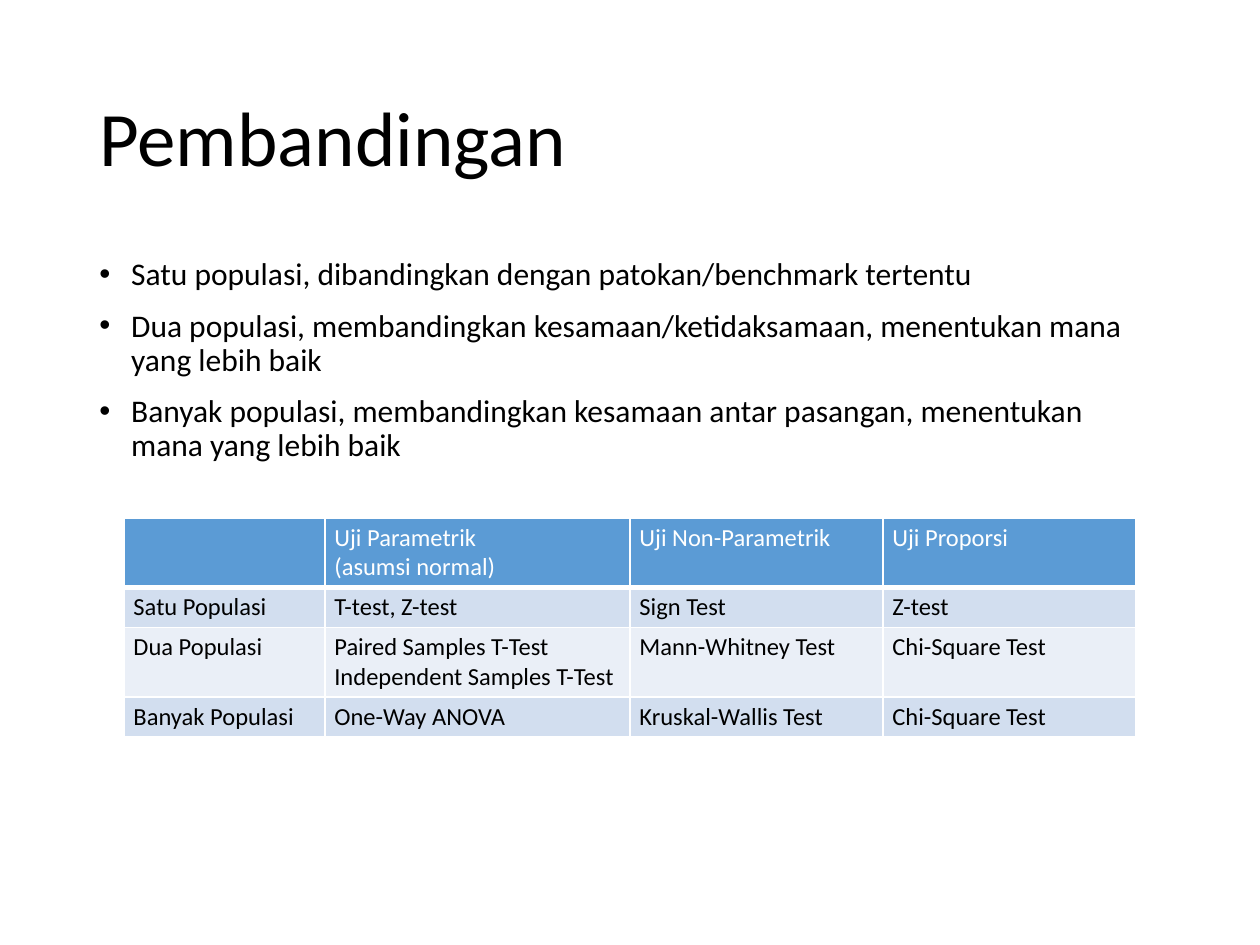
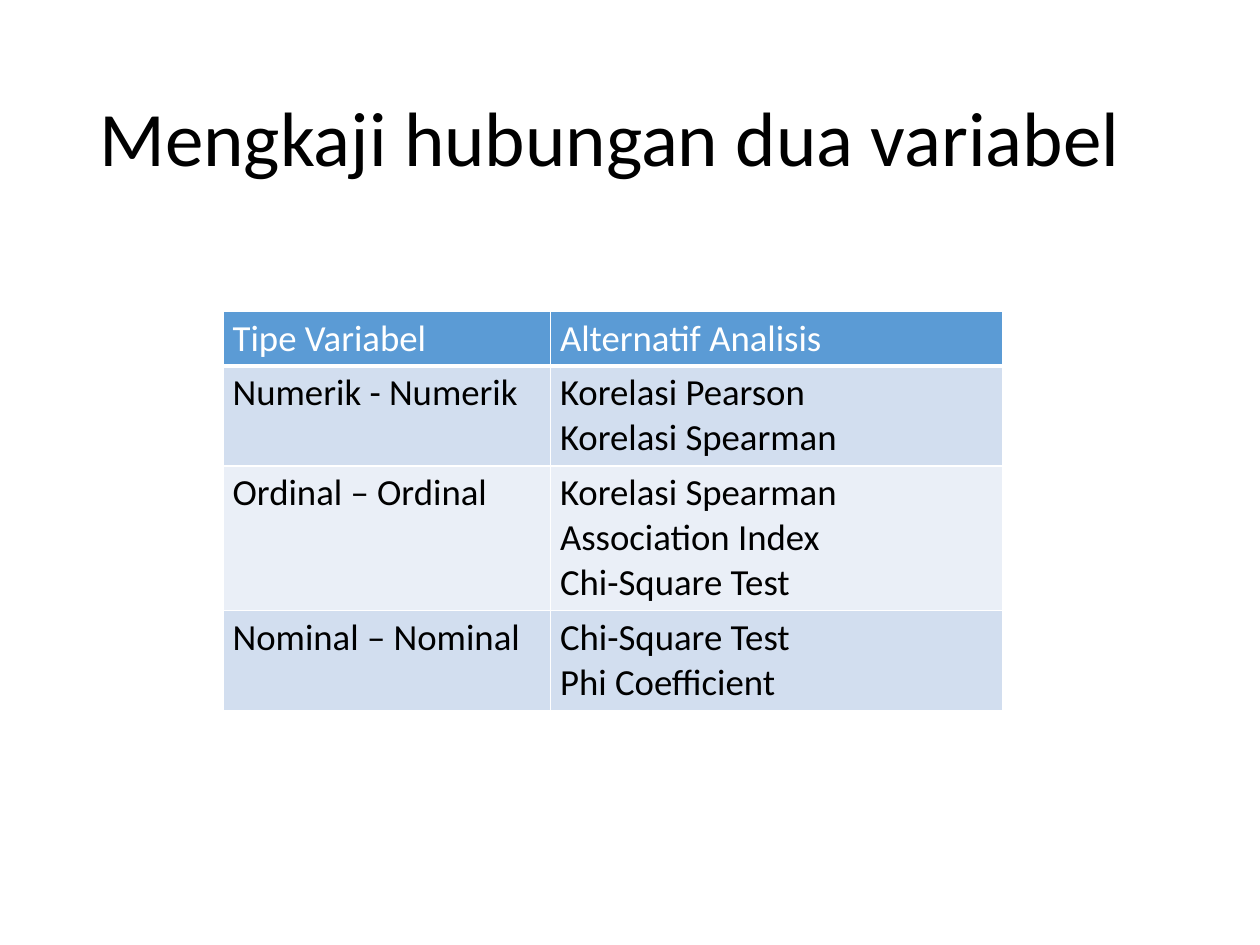
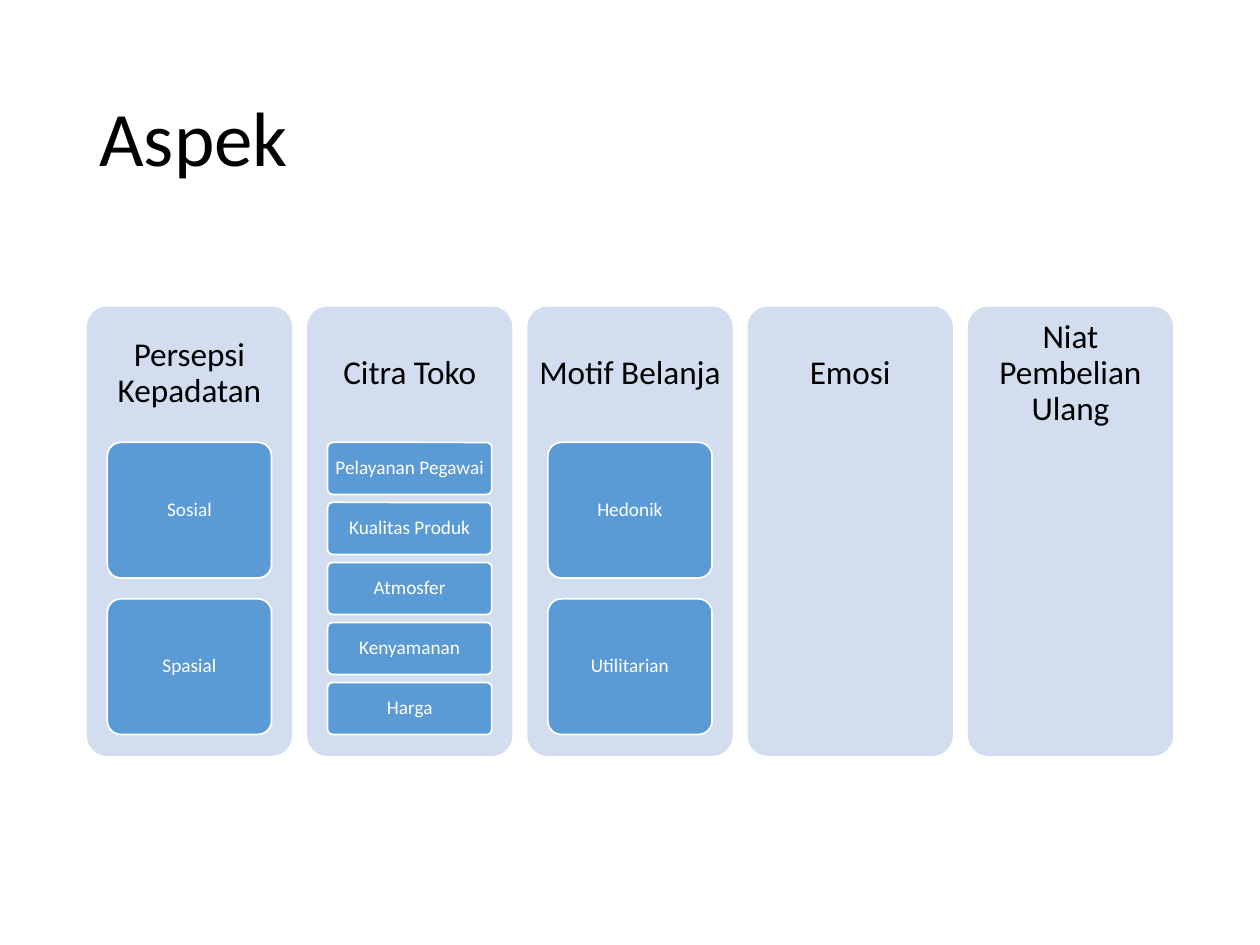
from dataclasses import dataclass

from lxml import etree
from pptx import Presentation
from pptx.dml.color import RGBColor
from pptx.enum.shapes import MSO_SHAPE
from pptx.enum.text import MSO_ANCHOR, MSO_AUTO_SIZE, PP_ALIGN
from pptx.oxml.ns import qn
from pptx.util import Cm, Pt

ROUNDED = MSO_SHAPE.ROUNDED_RECTANGLE
MIDDLE = MSO_ANCHOR.MIDDLE
LEFT, CENTER = PP_ALIGN.LEFT, PP_ALIGN.CENTER
NO_AUTOFIT = MSO_AUTO_SIZE.NONE
CONTENT_LAYOUT, TITLE_ONLY_LAYOUT = 1, 5


@dataclass(frozen=True)
class Theme:
    """Colours, type sizes and spacing shared by the slides."""
    font: str = "Calibri"
    text: RGBColor = RGBColor(0x00, 0x00, 0x00)
    white: RGBColor = RGBColor(0xFF, 0xFF, 0xFF)
    accent: RGBColor = RGBColor(0x5B, 0x9B, 0xD5)
    band_dark: RGBColor = RGBColor(0xD2, 0xDE, 0xEF)
    band_light: RGBColor = RGBColor(0xEA, 0xEF, 0xF7)
    title_size: float = 44
    body_size: float = 18
    test_table_size: float = 14
    relation_table_size: float = 21
    aspect_size: float = 19
    item_size: float = 11
    line_spacing: float = 0.9
    left: float = 1.75
    width: float = 21.9


THEME = Theme()

BULLETS = [
    "Satu populasi, dibandingkan dengan patokan/benchmark tertentu",
    "Dua populasi, membandingkan kesamaan/ketidaksamaan, menentukan mana yang lebih baik",
    "Banyak populasi, membandingkan kesamaan antar pasangan, menentukan mana yang lebih baik",
]

TESTS = [
    ["", "Uji Parametrik\n(asumsi normal)", "Uji Non-Parametrik", "Uji Proporsi"],
    ["Satu Populasi", "T-test, Z-test", "Sign Test", "Z-test"],
    ["Dua Populasi", "Paired Samples T-Test\nIndependent Samples T-Test",
     "Mann-Whitney Test", "Chi-Square Test"],
    ["Banyak Populasi", "One-Way ANOVA", "Kruskal-Wallis Test", "Chi-Square Test"],
]

RELATIONS = [
    ["Tipe Variabel", "Alternatif Analisis"],
    ["Numerik - Numerik", "Korelasi Pearson\nKorelasi Spearman"],
    ["Ordinal – Ordinal", "Korelasi Spearman\nAssociation Index\nChi-Square Test"],
    ["Nominal – Nominal", "Chi-Square Test\nPhi Coefficient"],
]

ASPECTS = [
    ("Persepsi Kepadatan", ["Sosial", "Spasial"]),
    ("Citra Toko", ["Pelayanan Pegawai", "Kualitas Produk", "Atmosfer",
                    "Kenyamanan", "Harga"]),
    ("Motif Belanja", ["Hedonik", "Utilitarian"]),
    ("Emosi", []),
    ("Niat Pembelian Ulang", []),
]


def place(sp, left, top, width, height):
    """Set the position and size of a shape in centimetres."""
    sp.left, sp.top, sp.width, sp.height = map(Cm, (left, top, width, height))


def style_paragraph(p, size, color, align=LEFT, spacing=None):
    """Format a whole paragraph."""
    p.font.name, p.font.size, p.font.bold = THEME.font, Pt(size), False
    p.font.color.rgb = color
    p.alignment = align
    p.line_spacing = spacing


def set_margins(target, horizontal, vertical):
    """Set the inner margins of a text frame or table cell."""
    target.margin_left = target.margin_right = Cm(horizontal)
    target.margin_top = target.margin_bottom = Cm(vertical)


def add_titled_slide(prs, title, layout=TITLE_ONLY_LAYOUT):
    """Add a slide with the shared title style."""
    s = prs.slides.add_slide(prs.slide_layouts[layout])
    sp = s.shapes.title
    place(sp, THEME.left, 1.02, THEME.width, 3.68)
    tf = sp.text_frame
    tf.text, tf.vertical_anchor, tf.auto_size = title, MIDDLE, NO_AUTOFIT
    style_paragraph(tf.paragraphs[0], THEME.title_size, THEME.text,
                    spacing=THEME.line_spacing)
    return s


def fill_bullets(sp, lines):
    """Write a bulleted list into the body placeholder."""
    place(sp, THEME.left, 5.08, THEME.width, 12.09)
    tf = sp.text_frame
    tf.text, tf.auto_size = "\n".join(lines), NO_AUTOFIT
    for p in tf.paragraphs:
        style_paragraph(p, THEME.body_size, THEME.text, spacing=THEME.line_spacing)
        p.space_before = Pt(10)
        pPr = p._p.get_or_add_pPr()
        pPr.set("marL", str(Cm(0.64)))
        pPr.set("indent", str(-Cm(0.64)))


def add_borders(cell, bottom):
    """Draw white borders around a cell, with its own bottom width."""
    tcPr = cell._tc.get_or_add_tcPr()
    for tag, width in (("lnL", 1), ("lnR", 1), ("lnT", 1), ("lnB", bottom)):
        ln = etree.SubElement(tcPr, qn(f"a:{tag}"), w=str(Pt(width)))
        fill = etree.SubElement(ln, qn("a:solidFill"))
        etree.SubElement(fill, qn("a:srgbClr"), val=str(THEME.white))


def add_banded_table(s, rows, left, top, widths, heights, size):
    """Add a table with a header row and alternating bands."""
    frame = s.shapes.add_table(len(rows), len(widths), Cm(left), Cm(top),
                               Cm(sum(widths)), Cm(sum(heights)))
    table = frame.table
    for column, width in zip(table.columns, widths):
        column.width = Cm(width)
    for i, (row, height) in enumerate(zip(rows, heights)):
        table.rows[i].height = Cm(height)
        header = i == 0
        band = THEME.band_dark if i % 2 else THEME.band_light
        for j, text in enumerate(row):
            cell = table.cell(i, j)
            cell.text = text
            set_margins(cell, 0.19, 0.1)
            add_borders(cell, 3 if header else 1)
            cell.fill.solid()
            cell.fill.fore_color.rgb = THEME.accent if header else band
            for p in cell.text_frame.paragraphs:
                style_paragraph(p, size, THEME.white if header else THEME.text)


def add_label(sp, text, size, color, horizontal, vertical):
    """Write centred text into a shape."""
    tf = sp.text_frame
    tf.text, tf.word_wrap, tf.vertical_anchor = text, True, MIDDLE
    set_margins(tf, horizontal, vertical)
    style_paragraph(tf.paragraphs[0], size, color, CENTER, THEME.line_spacing)


def add_card(s, left, top, width, height, fill, line=None):
    """Add a rounded rectangle with an optional outline."""
    sp = s.shapes.add_shape(ROUNDED, Cm(left), Cm(top), Cm(width), Cm(height))
    sp.adjustments[0] = 0.1
    sp.shadow.inherit = False
    sp.fill.solid()
    sp.fill.fore_color.rgb = fill
    if line is None:
        sp.line.fill.background()
    else:
        sp.line.color.rgb = line
        sp.line.width = Pt(1)
    return sp


def add_aspect(s, left, width, name, items):
    """Add one aspect panel with its items stacked below the heading."""
    top, height = 6.18, 9.06
    add_card(s, left, top, width, height, THEME.band_dark)
    heading = s.shapes.add_textbox(Cm(left), Cm(top), Cm(width), Cm(0.3 * height))
    add_label(heading, name, THEME.aspect_size, THEME.text, 0.2, 0.2)
    if not items:
        return
    gap_ratio = 2 / 13
    n = len(items)
    item_height = 0.65 * height / (n + (n - 1) * gap_ratio)
    for i, item in enumerate(items):
        item_top = top + 0.3 * height + 0.02 + i * item_height * (1 + gap_ratio)
        sp = add_card(s, left + 0.1 * width, item_top, 0.8 * width, item_height,
                      THEME.accent, THEME.white)
        add_label(sp, item, THEME.item_size, THEME.white, 0.07, 0.05)


def add_aspects(s, aspects):
    """Spread the aspect panels evenly across the content width."""
    gap = 0.3
    n = len(aspects)
    width = (THEME.width - (n - 1) * gap) / n
    for i, (name, items) in enumerate(aspects):
        add_aspect(s, THEME.left + i * (width + gap), width, name, items)


def main():
    """Build and save the presentation."""
    prs = Presentation()
    prs.slide_width, prs.slide_height = Cm(25.4), Cm(19.05)

    s = add_titled_slide(prs, "Pembandingan", CONTENT_LAYOUT)
    fill_bullets(s.placeholders[1], BULLETS)
    add_banded_table(s, TESTS, 2.5, 10.44, [4.05, 6.15, 5.1, 5.1],
                     [1.35, 0.76, 1.35, 0.76], THEME.test_table_size)

    s = add_titled_slide(prs, "Mengkaji hubungan dua variabel")
    add_banded_table(s, RELATIONS, 4.5, 6.27, [6.6, 9.12],
                     [1.07, 1.98, 2.84, 1.98], THEME.relation_table_size)

    s = add_titled_slide(prs, "Aspek")
    add_aspects(s, ASPECTS)

    prs.save("out.pptx")


if __name__ == "__main__":
    main()
